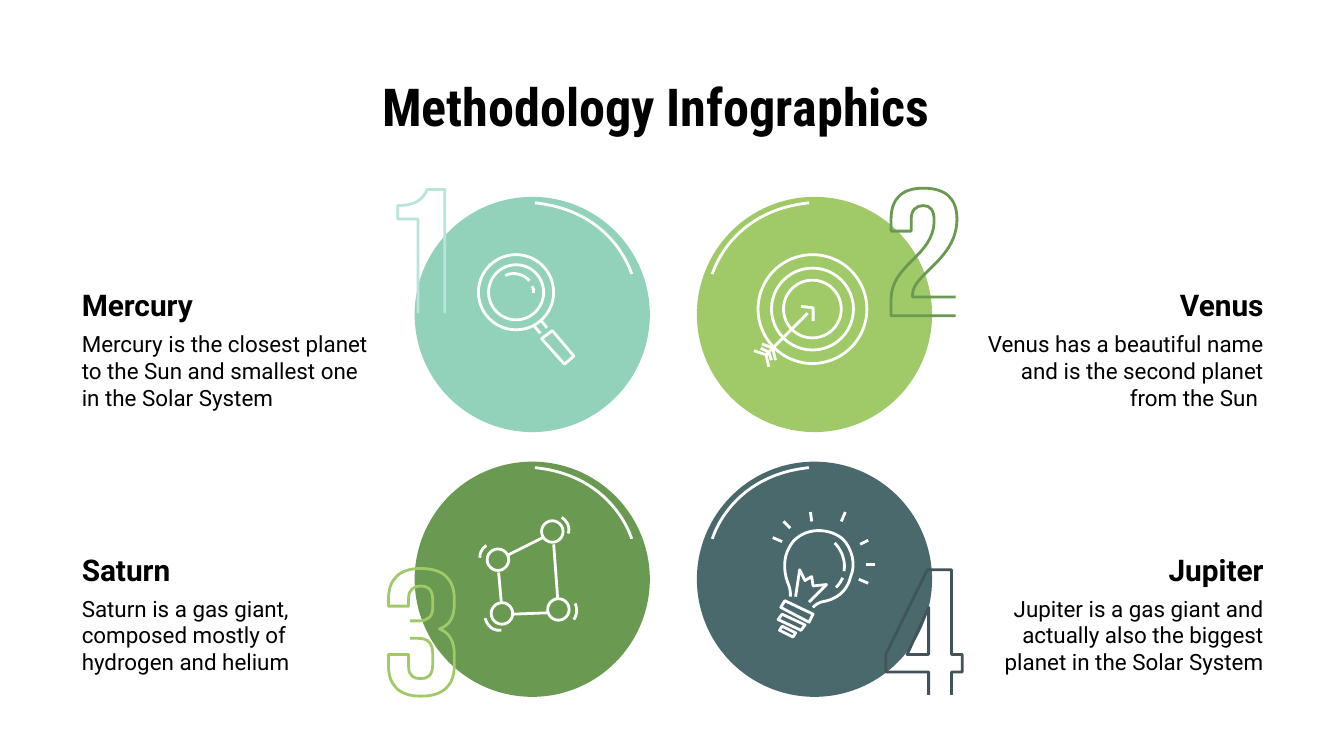
from dataclasses import dataclass
from pptx import Presentation
from pptx.dml.color import RGBColor as Rgb
from pptx.enum.shapes import MSO_CONNECTOR as Link, MSO_SHAPE as Kind
from pptx.enum.text import MSO_ANCHOR as Anchor, PP_ALIGN as Align
from pptx.oxml.ns import qn
from pptx.util import Inches, Pt


@dataclass(frozen=True)
class Theme:
    mint: str = "93D2BA"
    pale: str = "B8E4DC"
    lime: str = "A0CA68"
    green: str = "6A9951"
    teal: str = "4A696C"
    slate: str = "41545B"
    white: str = "FFFFFF"
    black: str = "000000"
    font: str = "Roboto"
    narrow: str = "Roboto Condensed"
    title: int = 28
    head: int = 16
    body: int = 12
    stroke: float = 1.5


theme = Theme()
deck = Presentation()
deck.slide_width = Inches(10)
deck.slide_height = deck.slide_width * 9 // 16
cell = deck.slide_width // 1000
slide = deck.slides.add_slide(deck.slide_layouts[6])
shapes = slide.shapes


def trace(home, route, hue):
    marks = []
    for word in route.split():
        if word in "MLCZ":
            kind = word
        else:
            x, y = word.split(",")
            marks.append((kind, int(x) * cell, int(y) * cell))
    pen = home.build_freeform(marks[0][1], marks[0][2], scale=1.0)
    for step, x, y in marks[1:]:
        if step == "M":
            pen.move_to(x, y)
        else:
            pen.add_line_segments([(x, y)], close=False)
    if kind == "Z":
        pen.add_line_segments([], close=True)
    shape = pen.convert_to_shape()
    shape.shadow.inherit = False
    shape.fill.background()
    shape.line.color.rgb = Rgb.from_string(hue)
    shape.line.width = Pt(theme.stroke)
    nodes = list(next(shape._element.iter(qn("a:path"))))
    bends = [node for mark, node in zip(marks, nodes) if mark[0] == "C"]
    for first, *rest in zip(bends[::3], bends[1::3], bends[2::3]):
        first.tag = qn("a:cubicBezTo")
        for node in rest:
            first.append(node[0])
            node.getparent().remove(node)


def write(words, box, size, font, bold, align, anchor):
    label = shapes.add_textbox(*(round(n * cell) for n in box))
    frame = label.text_frame
    frame.word_wrap = True
    frame.vertical_anchor = anchor
    frame.margin_left = frame.margin_right = 10 * cell
    frame.margin_top = frame.margin_bottom = 10 * cell
    frame.text = words
    para = frame.paragraphs[0]
    para.alignment = align
    face = para.runs[0].font
    face.name, face.size, face.bold = font, Pt(size), bold
    face.color.rgb = Rgb.from_string(theme.black)


cards = [
    ("Mercury", "Mercury is the closest planet to the Sun and smallest one in the Solar System",
     theme.mint, theme.pale,
     "M 311,233 L 311,163 296,163 296,153 C 311,153 315,147 318,141 L 331,141 331,233"),
    ("Venus", "Venus has a beautiful name and is the second planet from the Sun ",
     theme.lime, theme.green,
     "M 711,235 L 663,235 663,223 C 663,196 695,191 695,164 695,156 692,153 687,153 "
     "682,153 678,156 678,163 L 678,172 663,172 663,163 C 663,148 671,140 687,140 "
     "704,140 712,148 712,163 712,193 679,204 679,219 L 679,221 711,221"),
    ("Saturn", "Saturn is a gas giant, composed mostly of hydrogen and helium",
     theme.green, theme.lime,
     "M 305,462 L 312,462 C 318,462 322,459 322,452 L 322,447 C 322,438 318,436 313,436 "
     "308,436 304,439 304,445 L 304,451 289,451 289,446 C 289,431 297,423 313,423 "
     "330,423 338,431 338,446 L 338,449 C 338,459 335,465 327,468 335,471 338,478 338,487 "
     "L 338,495 C 338,510 330,518 313,518 297,518 289,510 289,495 L 289,487 304,487 304,496 "
     "C 304,503 308,505 313,505 318,505 322,503 322,494 L 322,487 "
     "C 322,478 318,475 311,475 L 305,475"),
    ("Jupiter", "Jupiter is a gas giant and actually also the biggest planet in the Solar System",
     theme.teal, theme.slate,
     "M 691,517 L 691,500 659,500 659,487 690,424 708,424 708,487 716,487 716,500 "
     "708,500 708,517 M 691,487 L 691,452 675,487 691,487 Z"),
]

pitch = 197
for spot, (head, body, fill, hue, digit) in enumerate(cards):
    row, col = divmod(spot, 2)
    drop = row * pitch
    disc = shapes.add_shape(Kind.OVAL, round((308.5 + 210 * col) * cell),
                            round((146.5 + drop) * cell), 175 * cell, 175 * cell)
    disc.shadow.inherit = False
    disc.fill.solid()
    disc.fill.fore_color.rgb = Rgb.from_string(fill)
    disc.line.fill.background()
    far, near = (530, 602) if col else (470, 398)
    bend = 543 if col else 457
    low, mid, high = (y + drop for y in (204, 157, 151))
    trace(shapes, f"M {far},{low} C {far},{low} {bend},{mid} {near},{high}", theme.white)
    trace(shapes, digit, hue)
    side = Align.RIGHT if col else Align.LEFT
    write(head, (828 if col else 51, 218 + drop, 122, 18),
          theme.head, theme.font, True, side, Anchor.MIDDLE)
    write(body, (712 if col else 51, 253.5 + drop, 238, 44),
          theme.body, theme.font, False, side, Anchor.MIDDLE)

glass = (
    [(384, 217.5, 28), (384, 217.5, 20.5)],
    [(397, 242, 402, 248), (403, 239, 407, 244)],
    ["M 376,205 C 382,202 390,204 394,209",
     "M 396,213 C 397,214 397,216 397,218",
     "M 411,246 L 403,252 420,271 427,265 Z"],
)
target = (
    [(604.5, 230, 40.5), (604.5, 230, 30.5), (604.5, 230, 21.5)],
    [(601, 233, 570, 264)],
    ["M 596,228 L 605,229 605,239",
     "M 567,256 L 575,259 577,268",
     "M 561,261 L 570,264 572,273",
     "M 566,259 L 572,262 574,268"],
)
web = (
    [(370.5, 416.5, 8), (411, 395.5, 8), (373.5, 456.5, 8), (415.5, 453.5, 8)],
    [(378, 413, 404, 400), (412, 405, 415, 446), (371, 426, 373, 448), (382, 457, 407, 456)],
    ["M 418,385 C 418,385 425,389 423,397",
     "M 362,406 C 362,406 357,408 357,415",
     "M 361,460 C 361,460 363,470 373,469",
     "M 428,449 C 428,449 431,455 427,461"],
)
bulb = (
    [],
    [(629, 381, 626, 388), (582, 403, 575, 400), (646, 434, 639, 431), (651, 420, 644, 420),
     (583, 388, 588, 393), (603, 381, 604, 388), (646, 402, 640, 405)],
    ["M 602,463 L 581,452 584,447 605,457 Z",
     "M 596,469 L 579,461 582,457 599,465 Z",
     "M 590,474 L 580,469 582,466 592,471 Z",
     "M 588,444 C 588,444 589,440 586,433 583,425 583,415 587,408 594,393 615,391 627,401 "
     "634,408 637,420 633,429 629,445 616,447 611,448 606,450 605,452 605,452",
     "M 621,404 C 621,404 630,412 628,425",
     "M 627,430 C 627,430 624,436 622,437",
     "M 592,444 L 595,424 599,432 604,429 605,436 615,435 602,448"],
)

for rings, lines, routes in (glass, target, web, bulb):
    icon = shapes.add_group_shape().shapes
    for x, y, r in rings:
        ring = icon.add_shape(Kind.OVAL, round((x - r) * cell), round((y - r) * cell),
                              round(2 * r * cell), round(2 * r * cell))
        ring.shadow.inherit = False
        ring.fill.background()
        ring.line.color.rgb = Rgb.from_string(theme.white)
        ring.line.width = Pt(theme.stroke)
    for ends in lines:
        line = icon.add_connector(Link.STRAIGHT, *(n * cell for n in ends))
        line.line.color.rgb = Rgb.from_string(theme.white)
        line.line.width = Pt(theme.stroke)
        props = line._element.spPr
        props.append(props.makeelement(qn("a:effectLst"), {}))
    for route in routes:
        trace(icon, route, theme.white)

write("Methodology Infographics", (50, 45, 876, 52),
      theme.title, theme.narrow, True, Align.CENTER, Anchor.TOP)

deck.save("out.pptx")
